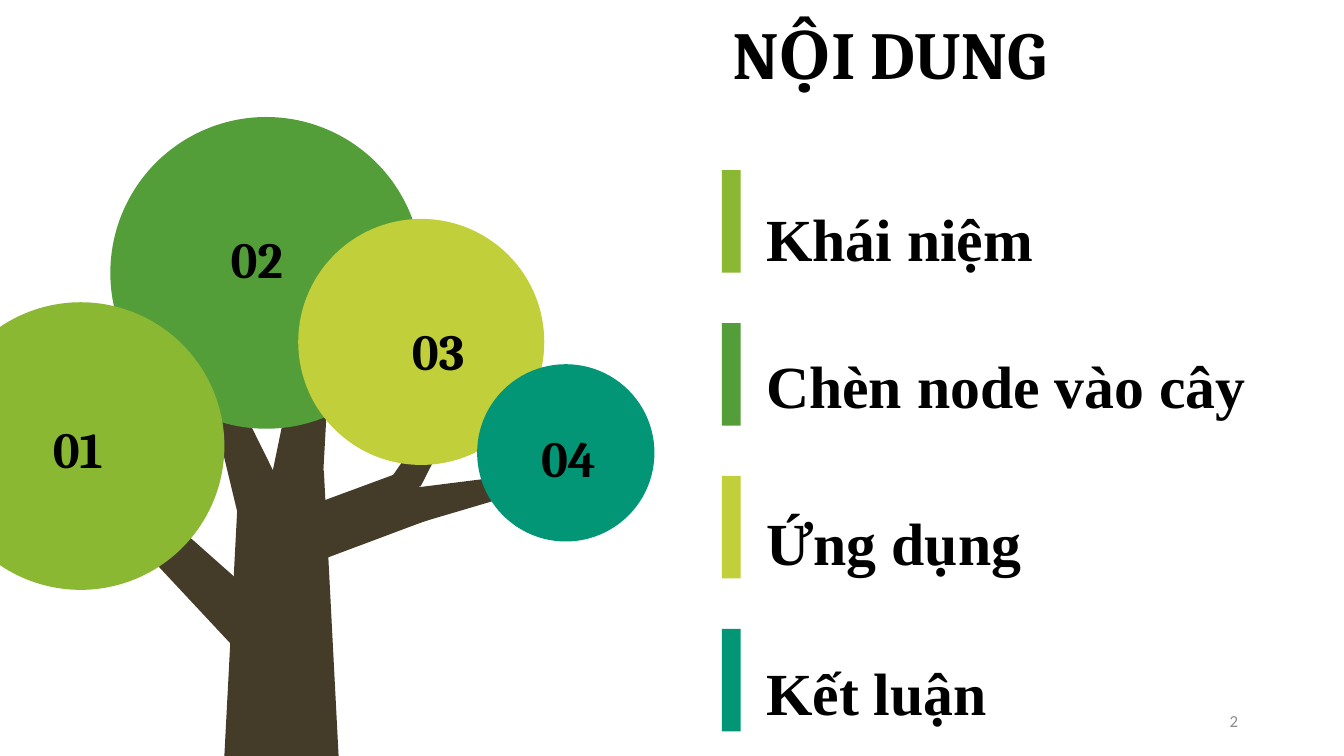
import pptx
import pptx.util
import pptx.dml.color
import pptx.enum.shapes
import pptx.enum.text

Pt = pptx.util.Pt
RGB = pptx.dml.color.RGBColor
Kind = pptx.enum.shapes.MSO_SHAPE
Align = pptx.enum.text.PP_ALIGN
Anchor = pptx.enum.text.MSO_ANCHOR

BLACK = RGB(0x00, 0x00, 0x00)
GREY = RGB(0x8C, 0x8C, 0x8C)
BROWN = RGB(0x44, 0x3C, 0x29)
LIME = RGB(0x8A, 0xB8, 0x33)
GREEN = RGB(0x54, 0x9E, 0x39)
YELLOW = RGB(0xC0, 0xCF, 0x3A)
TEAL = RGB(0x02, 0x96, 0x76)

LIMBS = [
    [(128.2, 252), (120.2, 405), (181.4, 405), (173.5, 252)],
    [(231.1, 277.9), (159.8, 304.6), (149, 277.2), (221, 250.6)],
    [(176.4, 195.1), (172.1, 273.6), (142.6, 269.3), (158.4, 193)],
    [(110.9, 206.6), (129.6, 284.4), (157, 273.6), (121.7, 202.3)],
    [(245.5, 221), (225.4, 260.6), (207.4, 259.2), (237.6, 215.3)],
    [(262.1, 256.3), (210.2, 262.8), (215.3, 282.9), (266.4, 267.8)],
    [(77.8, 295.9), (130.3, 352.1), (150.5, 331.2), (92.9, 280.1)],
    [(70.6, 241.9), (97.9, 284.4), (77.8, 295.9), (61.9, 245.5)],
]
CROWNS = [
    (142.6, 146.2, 167, GREEN),
    (225.7, 183.2, 131.8, YELLOW),
    (43.2, 239, 154.1, LIME),
    (303.1, 242.6, 95, TEAL),
]
MARKS = [
    ("01", 14.4, 220.3),
    ("02", 110.2, 118.8),
    ("03", 207.4, 167.8),
    ("04", 277.2, 225.4),
]
TOPICS = [
    ("Khái niệm", 108.2, LIME),
    ("Chèn node vào cây", 186.7, GREEN),
    ("Ứng dụng", 270.9, YELLOW),
    ("Kết luận", 351.5, TEAL),
]


class Page:
    head = "Cambria"
    body = "Times New Roman"
    small = "Calibri"

    def __init__(self, slide):
        self.shapes = slide.shapes

    def paint(self, shape, fill):
        shape.shadow.inherit = False
        shape.fill.solid()
        shape.fill.fore_color.rgb = fill
        shape.line.fill.background()

    def shape(self, kind, x, y, w, h, fill):
        self.paint(self.shapes.add_shape(kind, Pt(x), Pt(y), Pt(w), Pt(h)), fill)

    def limb(self, points):
        first, *rest = [(Pt(x), Pt(y)) for x, y in points]
        path = self.shapes.build_freeform(*first)
        path.add_line_segments(rest, close=True)
        self.paint(path.convert_to_shape(), BROWN)

    def crown(self, x, y, size, fill):
        self.shape(Kind.OVAL, x - size / 2, y - size / 2, size, size, fill)

    def text(self, words, x, y, w, h, size, face, align=Align.CENTER,
             color=BLACK, bold=True, inset=True, anchor=Anchor.TOP):
        frame = self.shapes.add_textbox(Pt(x), Pt(y), Pt(w), Pt(h)).text_frame
        frame.word_wrap = True
        frame.vertical_anchor = anchor
        if not inset:
            frame.margin_left = frame.margin_right = 0
            frame.margin_top = frame.margin_bottom = 0
        para = frame.paragraphs[0]
        para.text = words
        para.alignment = align
        para.font.name = face
        para.font.size = Pt(size)
        para.font.bold = bold
        para.font.color.rgb = color

    def topic(self, words, bar, top, fill):
        self.text(words, 410.4, top, 260.64, 34.6, 32, self.body,
                  Align.LEFT, inset=False)
        self.shape(Kind.RECTANGLE, 386.7, bar, 10.1, 54.9, fill)


def main():
    deck = pptx.Presentation()
    deck.slide_width = Pt(720)
    deck.slide_height = Pt(405)
    page = Page(deck.slides.add_slide(deck.slide_layouts[6]))

    for points in LIMBS:
        page.limb(points)
    for crown in CROWNS:
        page.crown(*crown)
    for words, x, y in MARKS:
        page.text(words, x, y, 54.7, 40.3, 27, page.head)
    for i, (words, top, fill) in enumerate(TOPICS):
        page.topic(words, 91.2 + 81.9 * i, top, fill)

    page.text("NỘI DUNG", 116.6, 2.9, 720, 51.1, 36, page.head)
    page.text("2", 508.3, 375.1, 162, 21.6, 9, page.small, Align.RIGHT,
              GREY, bold=False, anchor=Anchor.MIDDLE)
    deck.save("out.pptx")


if __name__ == "__main__":
    main()
